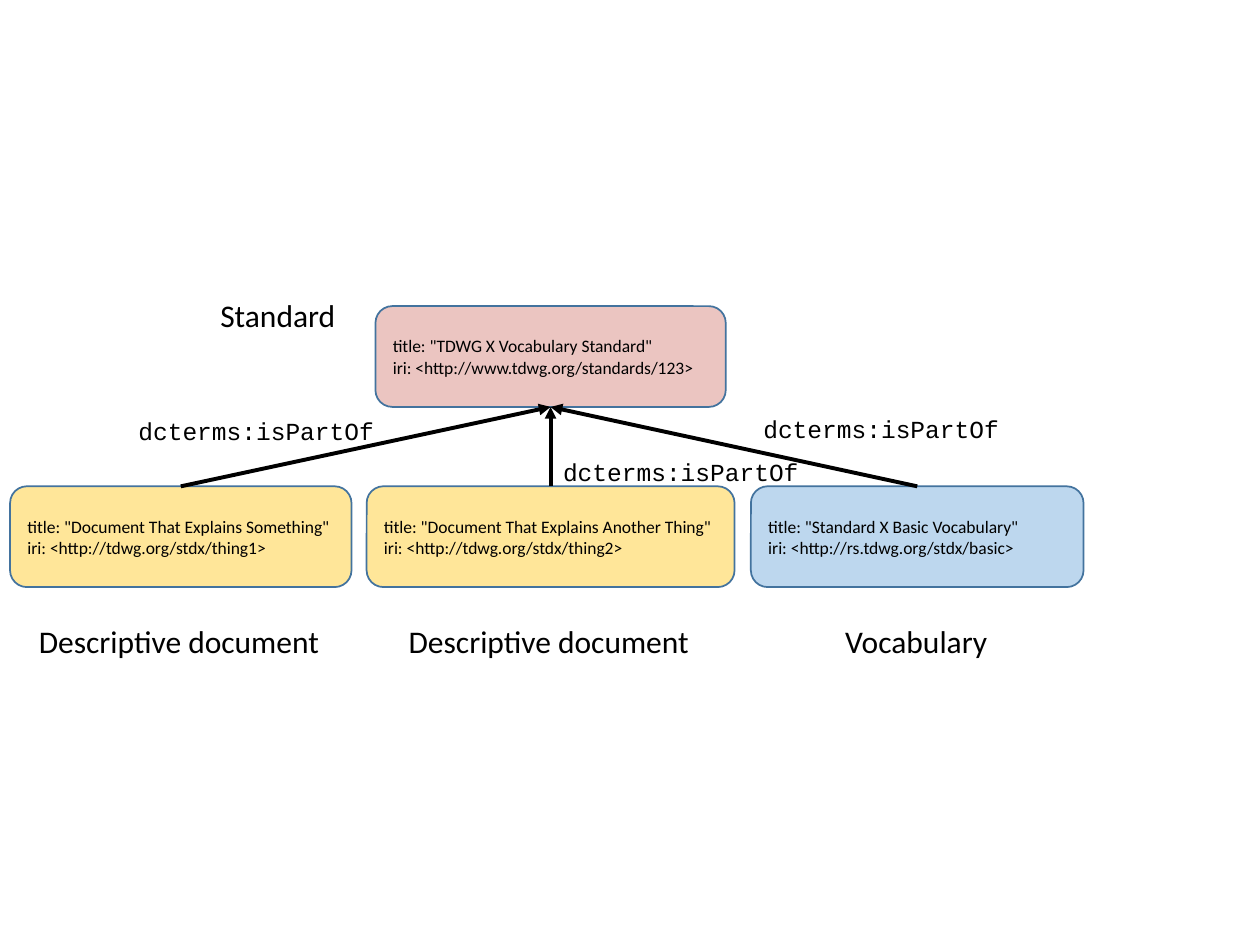
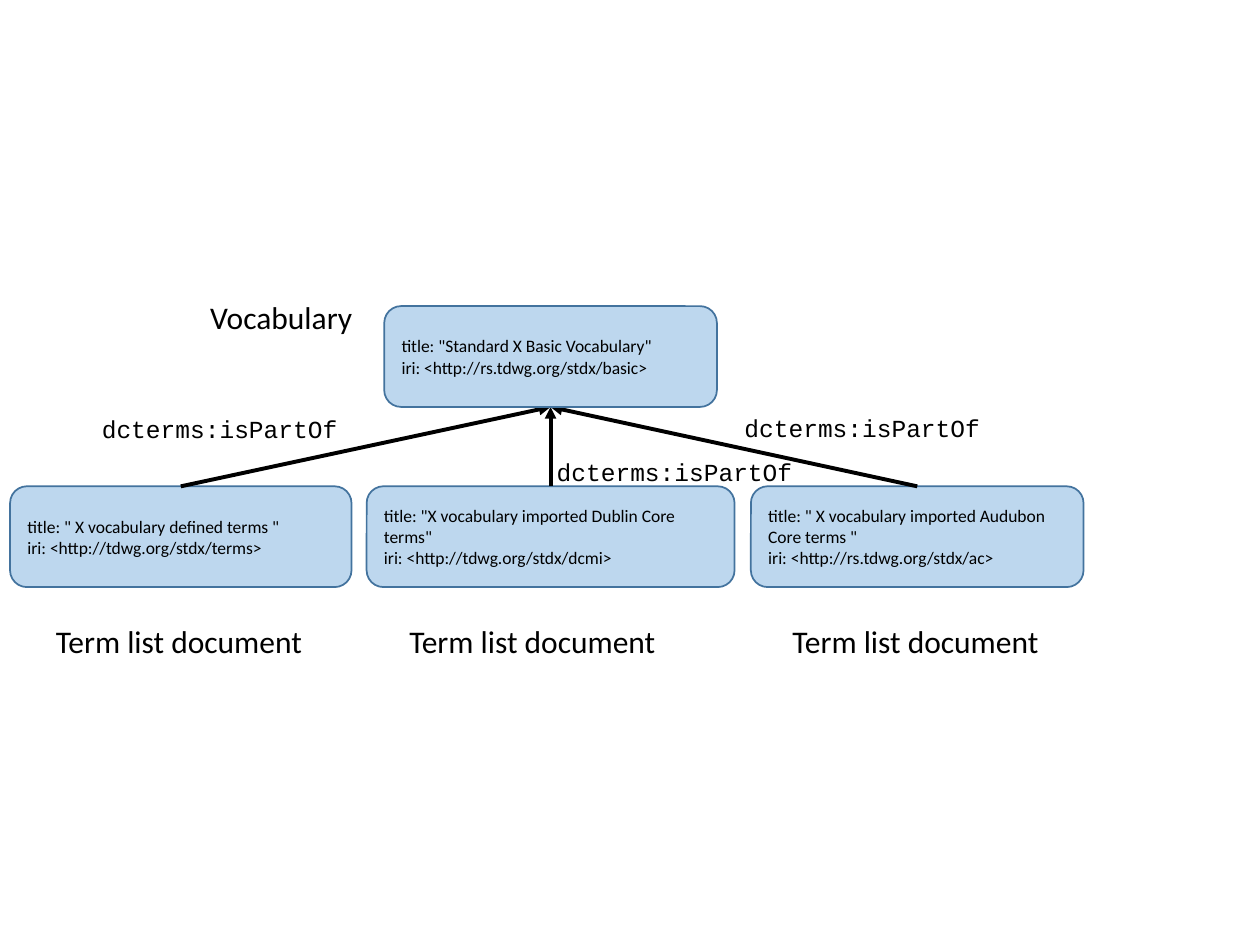
"""Build two diagrams of parts that point up to the whole they belong to."""
from lxml import etree
from pptx import Presentation
from pptx.dml.color import RGBColor
from pptx.enum.shapes import MSO_CONNECTOR, MSO_SHAPE
from pptx.enum.text import MSO_ANCHOR, MSO_AUTO_SIZE, PP_ALIGN
from pptx.oxml.ns import qn
from pptx.util import Inches, Pt

ROUND = MSO_SHAPE.ROUNDED_RECTANGLE
LINE = MSO_CONNECTOR.STRAIGHT
LEFT = PP_ALIGN.LEFT
MIDDLE, TOP = MSO_ANCHOR.MIDDLE, MSO_ANCHOR.TOP
GROW = MSO_AUTO_SIZE.SHAPE_TO_FIT_TEXT

ROSE, GOLD, BLUE = "EBC5C1", "FFE699", "BDD7EE"
EDGE, BLACK = "43739E", "000000"
SANS, MONO = "Calibri", "Courier New"
LINK = "dcterms:isPartOf"
BASIC = ('title: "Standard X Basic Vocabulary"', "iri: <http://rs.tdwg.org/stdx/basic>")

# Left edge and width of each part box
COLS = [(0.08, 2.71), (2.91, 2.92), (5.96, 2.64)]
MID = 4.37
WHOLE_Y, PART_Y, KIND_Y, BOX_H = 2.43, 3.86, 4.89, 0.8
KIND_H, LINK_W, LINK_H = 0.4, 2.08, 0.34
WIDTHS = {"Standard": 1.12, "Vocabulary": 1.34,
          "Descriptive document": 2.45, "Term list document": 2.18}

# Each part: text lines, fill, kind, shift of the kind label from the box centre
SLIDES = [
    {
        "whole": (('title: "TDWG X Vocabulary Standard"',
                   "iri: <http://www.tdwg.org/standards/123>"), ROSE, 2.78),
        "front": False,
        "kind": ("Standard", 1.65, 2.3),
        "parts": [
            (('title: "Document That Explains Something"',
              "iri: <http://tdwg.org/stdx/thing1>"), GOLD, "Descriptive document", 0),
            (('title: "Document That Explains Another Thing"',
              "iri: <http://tdwg.org/stdx/thing2>"), GOLD, "Descriptive document", 0),
            (BASIC, BLUE, "Vocabulary", 0),
        ],
        "links": [(1, 3.25), (4.37, 3.58), (5.96, 3.24)],
    },
    {
        "whole": (BASIC, BLUE, 2.64),
        "front": True,
        "kind": ("Vocabulary", 1.57, 2.32),
        "parts": [
            (('title: " X vocabulary defined terms "',
              "iri: <http://tdwg.org/stdx/terms>"), BLUE, "Term list document", 0),
            (('title: "X vocabulary imported Dublin Core terms"',
              "iri: <http://tdwg.org/stdx/dcmi>"), BLUE, "Term list document", -0.13),
            (('title: " X vocabulary imported Audubon Core terms "',
              "iri: <http://rs.tdwg.org/stdx/ac>"), BLUE, "Term list document", 0),
        ],
        "links": [(0.71, 3.24), (4.32, 3.58), (5.81, 3.23)],
    },
]


def color(code):
    """Turn a hex string into a colour."""
    return RGBColor.from_string(code)


def write(shape, lines, size=18, font=SANS, anchor=TOP, wrap=False):
    """Put lines of text into a shape, one paragraph each."""
    frame = shape.text_frame
    frame.word_wrap = wrap
    frame.vertical_anchor = anchor
    if not wrap:
        frame.auto_size = GROW
    for i, line in enumerate(lines):
        para = frame.add_paragraph() if i else frame.paragraphs[0]
        para.alignment = LEFT
        run = para.add_run()
        run.text = line
        run.font.size = Pt(size)
        run.font.name = font
        run.font.color.rgb = color(BLACK)


def add_box(slide, lines, fill, x, y, w):
    """Add a filled round box with its title and address."""
    box = slide.shapes.add_shape(ROUND, Inches(x), Inches(y), Inches(w), Inches(BOX_H))
    box.shadow.inherit = False
    box.fill.solid()
    box.fill.fore_color.rgb = color(fill)
    box.line.color.rgb = color(EDGE)
    box.line.width = Pt(1)
    write(box, lines, size=10, anchor=MIDDLE, wrap=True)
    return box


def add_label(slide, text, x, y, w, h, **style):
    """Add a one-line label."""
    label = slide.shapes.add_textbox(Inches(x), Inches(y), Inches(w), Inches(h))
    write(label, [text], **style)


def add_arrow(slide, part, whole):
    """Join the top of a part to the bottom of the whole."""
    arrow = slide.shapes.add_connector(LINE, 0, 0, 0, 0)
    arrow.begin_connect(part, 0)
    arrow.end_connect(whole, 2)
    arrow.line.color.rgb = color(BLACK)
    arrow.line.width = Pt(2.25)
    etree.SubElement(arrow.line._get_or_add_ln(), qn("a:tailEnd"), type="triangle")
    etree.SubElement(arrow._element.spPr, qn("a:effectLst"))


def draw(slide, data):
    """Draw one diagram."""
    boxes = [add_box(slide, lines, fill, x, PART_Y, w)
             for (x, w), (lines, fill, _, _) in zip(COLS, data["parts"])]
    lines, fill, wide = data["whole"]
    whole = add_box(slide, lines, fill, MID - wide / 2, WHOLE_Y, wide)
    for box in reversed(boxes):
        add_arrow(slide, box, whole)
    if data["front"]:
        slide.shapes._spTree.append(whole._element)

    kind, x, y = data["kind"]
    add_label(slide, kind, x, y, WIDTHS[kind], KIND_H)
    for (x, w), (_, _, kind, shift) in zip(COLS, data["parts"]):
        left = x + (w - WIDTHS[kind]) / 2 + shift
        add_label(slide, kind, left, KIND_Y, WIDTHS[kind], KIND_H)
    for x, y in data["links"]:
        add_label(slide, LINK, x, y, LINK_W, LINK_H, size=14, font=MONO)


def main():
    """Build and save the deck."""
    deck = Presentation()
    deck.slide_width, deck.slide_height = Inches(10), Inches(7.5)
    for data in SLIDES:
        draw(deck.slides.add_slide(deck.slide_layouts[6]), data)
    deck.save("out.pptx")


if __name__ == "__main__":
    main()
